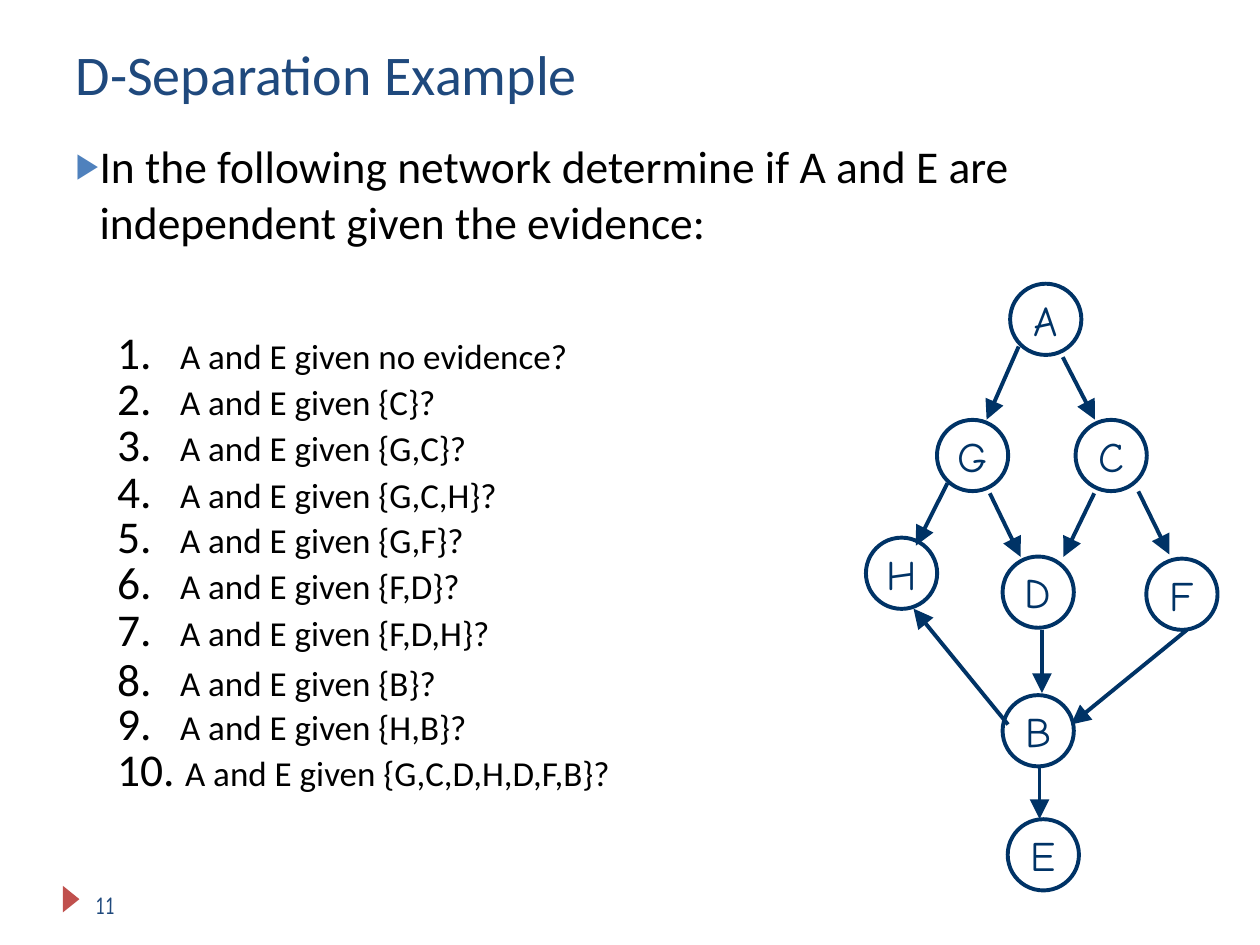
from lxml import etree
from pptx import Presentation
from pptx.dml.color import RGBColor
from pptx.enum.shapes import MSO_CONNECTOR, MSO_SHAPE
from pptx.enum.text import MSO_ANCHOR, PP_ALIGN
from pptx.oxml.ns import qn
from pptx.util import Pt

OVAL = MSO_SHAPE.OVAL
STRAIGHT = MSO_CONNECTOR.STRAIGHT
CENTER = PP_ALIGN.CENTER
MIDDLE = MSO_ANCHOR.MIDDLE

BODY_FONT = "Calibri"
NODE_FONT = "Comic Neue"
NAVY = "003366"
TITLE_BLUE = "1F497D"
BULLET_BLUE = "4F81BD"
MARKER_RED = "C0504D"
BLACK = "000000"

DIAMETER = 40.7
NUMBER_INDENT = 36.7

NODES = {
    "A": (597.6, 182.5),
    "G": (555.8, 260.3),
    "C": (635, 260.3),
    "H": (515.2, 327.6),
    "D": (593.3, 338.4),
    "F": (675.4, 339.6),
    "B": (593.3, 417.6),
    "E": (596.2, 488.5),
}
EDGES = [
    (582.1, 198, 563.8, 239.8),
    (607.3, 204.1, 625.7, 239.8),
    (541.4, 276.1, 523.4, 311.8),
    (565.6, 281.9, 583.2, 318.2),
    (625.3, 281.9, 607.7, 318.2),
    (650.5, 280.8, 668.2, 316.8),
    (595.4, 360, 595.4, 396),
    (678.2, 360, 612, 414),
    (576, 414, 522, 347.8),
    (594, 437.8, 594, 468),
]
QUESTIONS = [
    ("no evidence", 24.1),
    ("{C}", 26.5),
    ("{G,C}", 26.5),
    ("{G,C,H}", 26.5),
    ("{G,F}", 25.9),
    ("{F,D}", 26.5),
    ("{F,D,H}", 26.5),
    ("{B}", 28.6),
]
LATE_QUESTIONS = [
    ("9.\t", "{H,B}", 402.5),
    ("10. ", "{G,C,D,H,D,F,B}", 428.4),
]


def color(value):
    return RGBColor.from_string(value)


def add_child(parent, tag, **attributes):
    return etree.SubElement(parent, qn(tag), attributes)


def clear_margins(frame):
    frame.margin_left = frame.margin_right = 0
    frame.margin_top = frame.margin_bottom = 0


def add_text_frame(slide, left, top, width, height):
    frame = slide.shapes.add_textbox(Pt(left), Pt(top), Pt(width), Pt(height)).text_frame
    frame.word_wrap = True
    clear_margins(frame)
    return frame


def add_run(paragraph, text, size, ink=BLACK, font=BODY_FONT):
    run = paragraph.add_run()
    run.text = text
    run.font.size = Pt(size)
    run.font.name = font
    run.font.color.rgb = color(ink)


def set_indent(paragraph, left, first):
    properties = paragraph._p.get_or_add_pPr()
    properties.set("marL", str(Pt(left)))
    properties.set("indent", str(Pt(first)))
    return properties


def add_tab_stop(properties, position):
    stops = add_child(properties, "a:tabLst")
    add_child(stops, "a:tab", pos=str(Pt(position)), algn="l")


def add_label(slide, left, top, width, height, text, size, font=BODY_FONT):
    frame = add_text_frame(slide, left, top, width, height)
    add_run(frame.paragraphs[0], text, size, TITLE_BLUE, font)


def add_task(slide):
    task = add_text_frame(slide, 42.5, 78.5, 565, 65).paragraphs[0]
    task.line_spacing = 1.02
    properties = set_indent(task, 14.4, -13.7)
    bullet_color = add_child(properties, "a:buClr")
    add_child(bullet_color, "a:srgbClr", val=BULLET_BLUE)
    add_child(properties, "a:buSzPct", val="77000")
    add_child(properties, "a:buFont", typeface=BODY_FONT)
    add_child(properties, "a:buChar", char="▶")
    add_tab_stop(properties, 14.4)
    add_run(task, "In the following network determine if A and E are "
                  "independent given the evidence:", 26)


def add_questions(slide):
    frame = add_text_frame(slide, 66.2, 190.8, 259.2, 212.4)
    for index, (evidence, spacing) in enumerate(QUESTIONS):
        question = frame.add_paragraph() if index else frame.paragraphs[0]
        question.line_spacing = Pt(spacing)
        properties = set_indent(question, NUMBER_INDENT, -36)
        add_child(properties, "a:buSzPct", val="130000")
        add_child(properties, "a:buFont", typeface=BODY_FONT)
        add_child(properties, "a:buAutoNum", type="arabicPeriod")
        add_run(question, f"A and E given {evidence}?", 20)


def add_late_question(slide, number, evidence, top):
    question = add_text_frame(slide, 66.2, top, 290, 26).paragraphs[0]
    question.line_spacing = Pt(26)
    add_tab_stop(set_indent(question, 0.7, 0), NUMBER_INDENT)
    add_run(question, number, 26)
    add_run(question, f"A and E given {evidence}?", 20)


def add_node(slide, letter, center_x, center_y):
    node = slide.shapes.add_shape(OVAL, Pt(center_x - DIAMETER / 2),
                                  Pt(center_y - DIAMETER / 2), Pt(DIAMETER), Pt(DIAMETER))
    node.shadow.inherit = False
    node.fill.background()
    node.line.color.rgb = color(NAVY)
    node.line.width = Pt(2.25)
    frame = node.text_frame
    clear_margins(frame)
    frame.word_wrap = False
    frame.vertical_anchor = MIDDLE
    frame.paragraphs[0].alignment = CENTER
    add_run(frame.paragraphs[0], letter, 24, NAVY, NODE_FONT)


def add_edge(slide, *ends):
    edge = slide.shapes.add_connector(STRAIGHT, *map(Pt, ends))
    edge.line.color.rgb = color(NAVY)
    edge.line.width = Pt(2.25)
    add_child(edge.line._get_or_add_ln(), "a:tailEnd", type="triangle", w="lg", len="lg")
    add_child(edge._element.spPr, "a:effectLst")


def add_page_marker(slide):
    builder = slide.shapes.build_freeform(Pt(36), Pt(506.2))
    builder.add_line_segments([(Pt(36), Pt(521.3)), (Pt(45.4), Pt(513.8))], close=True)
    marker = builder.convert_to_shape()
    marker.shadow.inherit = False
    marker.fill.solid()
    marker.fill.fore_color.rgb = color(MARKER_RED)
    marker.line.fill.background()


def main():
    presentation = Presentation()
    presentation.slide_width = Pt(720)
    presentation.slide_height = Pt(540)
    slide = presentation.slides.add_slide(presentation.slide_layouts[6])

    add_page_marker(slide)
    add_label(slide, 43.2, 22.6, 300, 40, "D-Separation Example", 32)
    add_task(slide)
    add_questions(slide)
    for question in LATE_QUESTIONS:
        add_late_question(slide, *question)
    for letter, center in NODES.items():
        add_node(slide, letter, *center)
    for ends in EDGES:
        add_edge(slide, *ends)
    add_label(slide, 54.7, 508.6, 29.5, 19, "11", 14, NODE_FONT)

    presentation.save("out.pptx")


if __name__ == "__main__":
    main()
